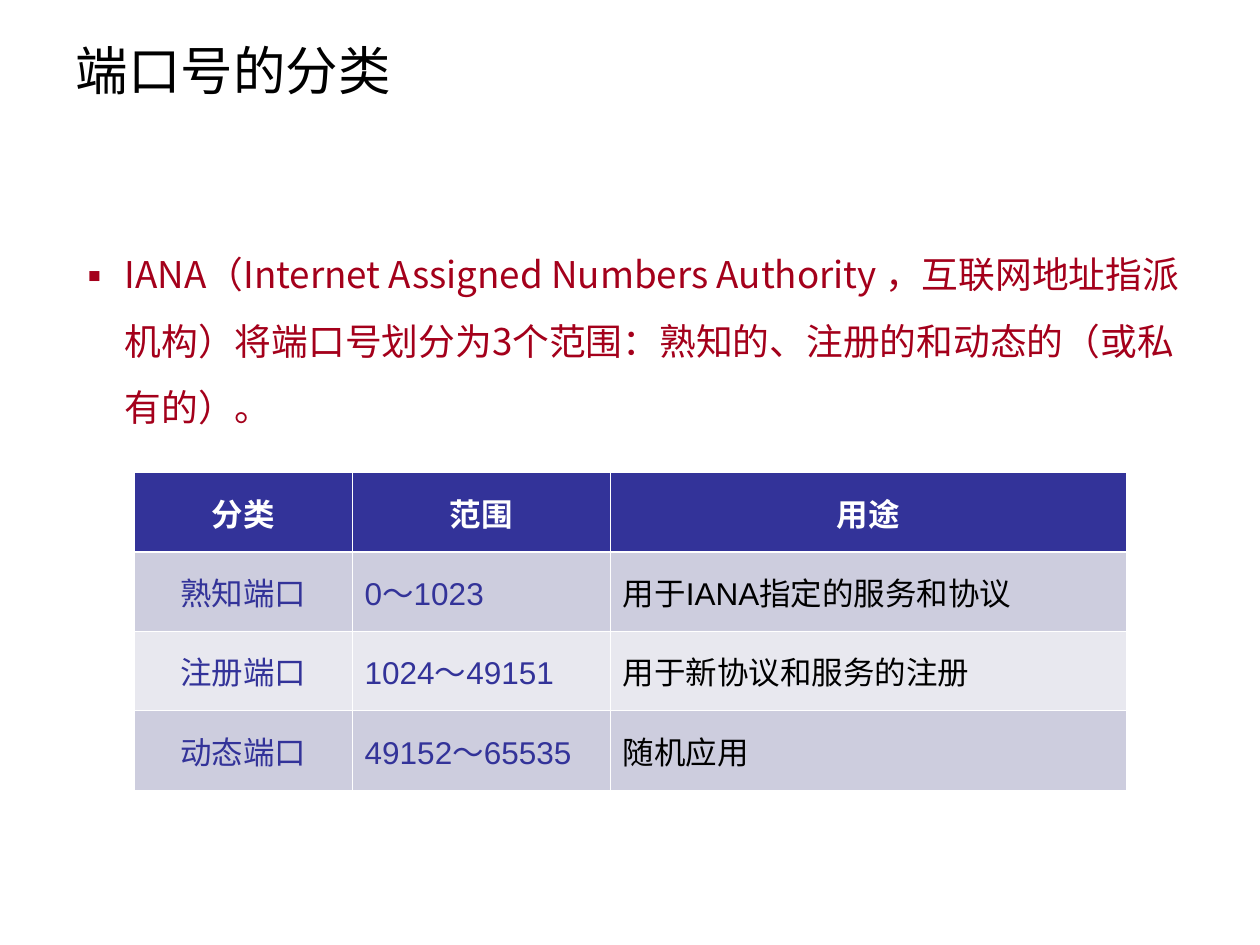
from dataclasses import dataclass

from lxml.etree import SubElement
from pptx import Presentation
from pptx.dml.color import RGBColor
from pptx.enum.text import MSO_ANCHOR as Anchor, MSO_AUTO_SIZE as AutoSize, PP_ALIGN as Align
from pptx.oxml.ns import qn
from pptx.util import Pt


@dataclass(frozen=True)
class Theme:
    cjk_font: str = "Noto Sans CJK SC"
    latin_font: str = "Arial"
    black: str = "000000"
    white: str = "FFFFFF"
    red: str = "A4001B"
    indigo: str = "333399"
    bands: tuple = ("CDCDDE", "E8E8EF")
    title_size: float = 30
    body_size: float = 21
    table_size: float = 18
    thin_line: float = 0.45
    header_line: float = 1.47


class SlideBuilder:
    def __init__(self, presentation, theme):
        self.theme = theme
        self.slide = presentation.slides.add_slide(presentation.slide_layouts[5])

    def add_run(self, paragraph, text, size, color, font, bold=False):
        run = paragraph.add_run()
        run.text = text
        run.font.size = Pt(size)
        run.font.bold = bold
        run.font.name = font
        run.font.color.rgb = RGBColor.from_string(color)
        SubElement(run.font._element, qn("a:ea"), typeface=self.theme.cjk_font)

    def title(self, text, left, top, width, height):
        shape = self.slide.shapes.title
        shape.left, shape.top, shape.width, shape.height = map(Pt, (left, top, width, height))
        frame = shape.text_frame
        frame.auto_size = AutoSize.NONE
        frame.vertical_anchor = Anchor.MIDDLE
        paragraph = frame.paragraphs[0]
        paragraph.alignment = Align.LEFT
        self.add_run(paragraph, text, self.theme.title_size, self.theme.black, self.theme.cjk_font)

    def bullet_text(self, text, left, top, width, height, indent):
        shape = self.slide.shapes.add_textbox(*map(Pt, (left, top, width, height)))
        frame = shape.text_frame
        frame.word_wrap = True
        paragraph = frame.paragraphs[0]
        paragraph.line_spacing = 1.5
        paragraph.space_before = Pt(5.2)
        properties = paragraph._p.get_or_add_pPr()
        properties.set("marL", str(Pt(indent)))
        properties.set("indent", str(-Pt(indent)))
        bullet_color = SubElement(properties, qn("a:buClr"))
        SubElement(bullet_color, qn("a:srgbClr"), val=self.theme.red)
        SubElement(properties, qn("a:buFont"), typeface=self.theme.cjk_font)
        SubElement(properties, qn("a:buChar"), char="▪")
        self.add_run(paragraph, text, self.theme.body_size, self.theme.red, self.theme.cjk_font)

    def table(self, rows, left, top, column_widths, row_height):
        shape = self.slide.shapes.add_table(
            len(rows), len(column_widths), Pt(left), Pt(top),
            Pt(sum(column_widths)), Pt(row_height * len(rows)))
        table = shape.table
        for column, width in zip(table.columns, column_widths):
            column.width = Pt(width)
        for row_index, texts in enumerate(rows):
            table.rows[row_index].height = Pt(row_height)
            for column_index, text in enumerate(texts):
                self.cell(table.cell(row_index, column_index), text, row_index, column_index)

    def cell(self, cell, text, row_index, column_index):
        theme = self.theme
        is_header = row_index == 0
        if is_header:
            fill, color = theme.indigo, theme.white
        else:
            fill = theme.bands[(row_index - 1) % 2]
            color = theme.black if column_index == 2 else theme.indigo
        self.cell_borders(cell, row_index)
        cell.fill.solid()
        cell.fill.fore_color.rgb = RGBColor.from_string(fill)
        cell.vertical_anchor = Anchor.MIDDLE
        paragraph = cell.text_frame.paragraphs[0]
        paragraph.alignment = Align.CENTER if is_header or column_index == 0 else Align.LEFT
        self.add_run(paragraph, text, theme.table_size, color, theme.latin_font, is_header)

    def cell_borders(self, cell, row_index):
        """Draw white cell edges, heavier between the header and the first row."""
        properties = cell._tc.get_or_add_tcPr()
        heavy_edge = {0: "lnB", 1: "lnT"}.get(row_index)
        for edge in ("lnL", "lnR", "lnT", "lnB"):
            width = self.theme.header_line if edge == heavy_edge else self.theme.thin_line
            line = SubElement(properties, qn(f"a:{edge}"), w=str(Pt(width)))
            line_fill = SubElement(line, qn("a:solidFill"))
            SubElement(line_fill, qn("a:srgbClr"), val=self.theme.white)


def main():
    presentation = Presentation()
    presentation.slide_width, presentation.slide_height = Pt(720), Pt(540)
    builder = SlideBuilder(presentation, Theme())
    builder.title("端口号的分类", left=36, top=9.5, width=590, height=61)
    builder.bullet_text(
        "IANA（Internet Assigned Numbers Authority ，互联网地址指派机构）"
        "将端口号划分为3个范围：熟知的、注册的和动态的（或私有的）。",
        left=36.7, top=128, width=653, height=124.6, indent=27.4)
    builder.table(
        [("分类", "范围", "用途"),
         ("熟知端口", "0～1023", "用于IANA指定的服务和协议"),
         ("注册端口", "1024～49151", "用于新协议和服务的注册"),
         ("动态端口", "49152～65535", "随机应用")],
        left=76.7, top=270.2, column_widths=(124.5, 147.5, 295), row_height=45.3)
    presentation.save("out.pptx")


if __name__ == "__main__":
    main()
